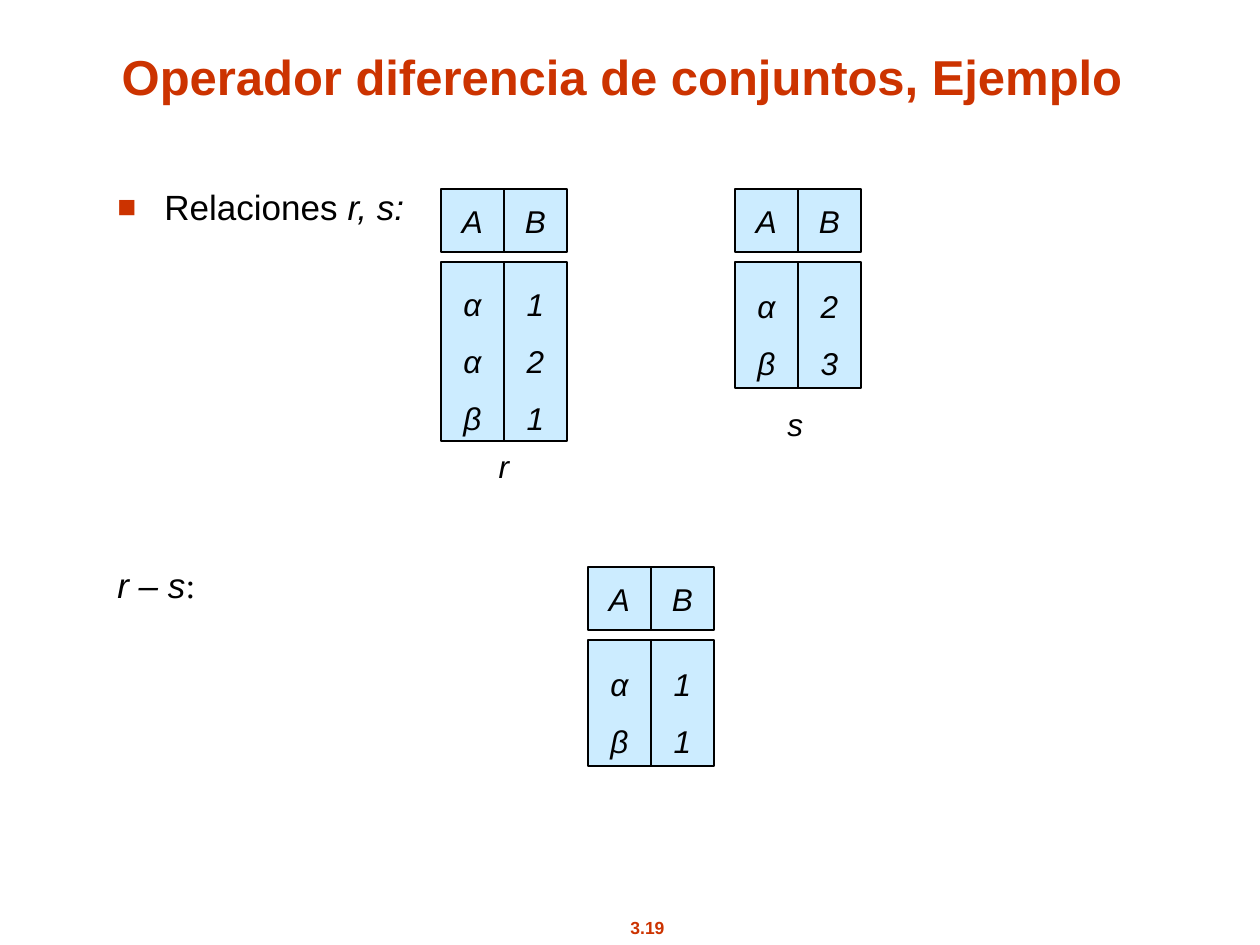
from lxml import etree
from pptx import Presentation
from pptx.dml.color import RGBColor
from pptx.enum.shapes import MSO_SHAPE
from pptx.enum.text import MSO_ANCHOR, PP_ALIGN
from pptx.oxml.ns import qn
from pptx.util import Emu, Pt

EMU_PER_PX = 914400 / 126
RED = RGBColor(0xCC, 0x33, 0x00)
BLACK = RGBColor(0x00, 0x00, 0x00)
LIGHT_BLUE = RGBColor(0xCC, 0xEC, 0xFF)
RECTANGLE = MSO_SHAPE.RECTANGLE
LEFT, CENTER = PP_ALIGN.LEFT, PP_ALIGN.CENTER
TOP, MIDDLE, BOTTOM = MSO_ANCHOR.TOP, MSO_ANCHOR.MIDDLE, MSO_ANCHOR.BOTTOM

CELL = 63
HEADER_GAP = 10


def px(length):
    return Emu(round(length * EMU_PER_PX))


def add_bullet(paragraph, indent):
    """Give the paragraph a red square bullet with a hanging indent."""
    properties = paragraph._p.get_or_add_pPr()
    properties.set("marL", str(px(indent)))
    properties.set("indent", str(-px(indent)))
    color = etree.SubElement(properties, qn("a:buClr"))
    etree.SubElement(color, qn("a:srgbClr"), val=str(RED))
    etree.SubElement(properties, qn("a:buSzPct"), val="90000")
    etree.SubElement(properties, qn("a:buFont"), typeface="Arial")
    etree.SubElement(properties, qn("a:buChar"), char="■")


def write_text(frame, paragraphs, size=18, color=BLACK, bold=False, italic=False,
               align=CENTER, anchor=MIDDLE, wrap=False, spacing=None, bullet_indent=None):
    """Fill a frame; each paragraph is a list of (text, font changes) runs."""
    frame.word_wrap = wrap
    frame.vertical_anchor = anchor
    for index, runs in enumerate(paragraphs):
        paragraph = frame.paragraphs[0] if index == 0 else frame.add_paragraph()
        paragraph.alignment = align
        if spacing:
            paragraph.line_spacing = spacing
        if bullet_indent:
            add_bullet(paragraph, bullet_indent)
        for text, changes in runs:
            run = paragraph.add_run()
            run.text = text
            run.font.name = changes.get("name", "Arial")
            run.font.size = Pt(size)
            run.font.bold = bold
            run.font.italic = changes.get("italic", italic)
            run.font.color.rgb = color


class SlideBuilder:
    def __init__(self, slide):
        self.slide = slide
        self.fill = LIGHT_BLUE
        self.line = BLACK
        self.line_width = Pt(0.75)

    def text(self, left, top, width, height, *runs, **text_format):
        box = self.slide.shapes.add_textbox(px(left), px(top), px(width), px(height))
        write_text(box.text_frame, [runs], **text_format)

    def cell(self, left, top, height, values, spacing=None):
        shape = self.slide.shapes.add_shape(RECTANGLE, px(left), px(top), px(CELL), px(height))
        shape.shadow.inherit = False
        shape.fill.solid()
        shape.fill.fore_color.rgb = self.fill
        shape.line.color.rgb = self.line
        shape.line.width = self.line_width
        paragraphs = [[(value, {})] for value in values]
        write_text(shape.text_frame, paragraphs, italic=True, spacing=spacing)

    def relation(self, left, top, body_height, columns):
        """Draw header cells with one tall cell of values under each."""
        for index, (name, values) in enumerate(columns.items()):
            column_left = left + index * CELL
            self.cell(column_left, top, CELL, name)
            self.cell(column_left, top + CELL + HEADER_GAP, body_height, values, spacing=1.5)


def main():
    presentation = Presentation()
    presentation.slide_width = px(1260)
    presentation.slide_height = px(945)
    builder = SlideBuilder(presentation.slides.add_slide(presentation.slide_layouts[6]))

    builder.text(586, 911, 123, 34, ("3.19", {}), size=10, color=RED, bold=True, anchor=TOP)
    builder.text(66, 28, 1112, 84, ("Operador diferencia de conjuntos, Ejemplo", {}),
                 size=28, color=RED, bold=True, anchor=BOTTOM, wrap=True)
    builder.text(105, 179, 969, 55, ("Relaciones ", {}), ("r, s:", {"italic": True}),
                 size=20, align=LEFT, anchor=TOP, wrap=True, bullet_indent=47)
    builder.text(105, 557, 969, 45, ("r – s", {"italic": True}),
                 (":", {"name": "Times New Roman"}),
                 size=20, align=LEFT, anchor=TOP, wrap=True)

    builder.relation(441, 189, 179, {"A": "ααβ", "B": "121"})
    builder.relation(735, 189, 126, {"A": "αβ", "B": "23"})
    builder.relation(588, 567, 126, {"A": "αβ", "B": "11"})

    builder.text(486, 441, 36, 50, ("r", {}), italic=True)
    builder.text(775, 399, 40, 50, ("s", {}), italic=True)

    presentation.save("out.pptx")


if __name__ == "__main__":
    main()
